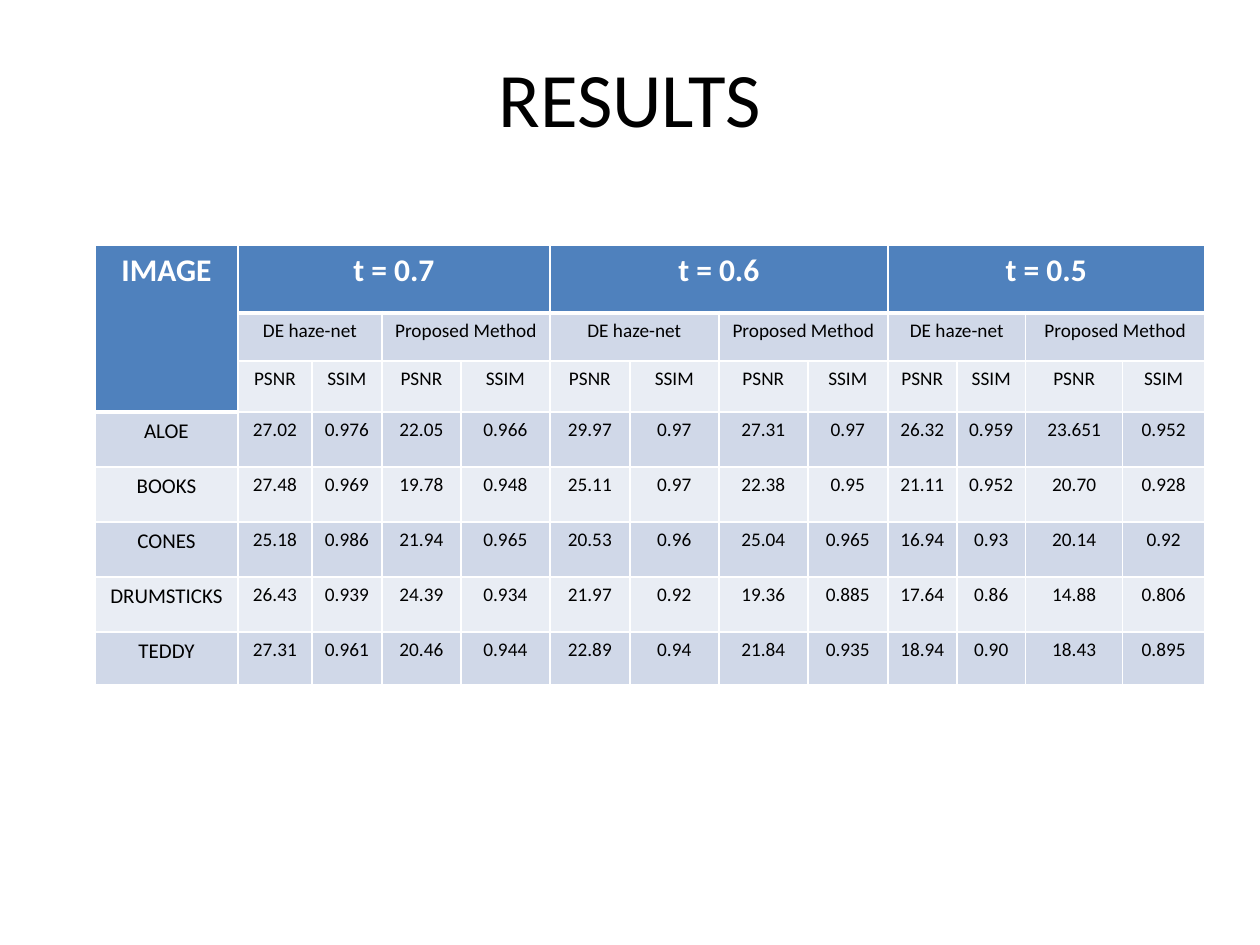
from lxml.etree import SubElement
from pptx import Presentation
from pptx.dml.color import RGBColor
from pptx.enum.text import MSO_ANCHOR, PP_ALIGN
from pptx.oxml.ns import qn
from pptx.util import Pt

EMU_PER_PX = 914400 / 126
FONT = "Calibri"
COLOURS = {"header": "4F81BD", "dark": "D0D8E8", "light": "E9EDF4",
           "white": "FFFFFF", "black": "000000"}
COLUMN_WIDTHS = [143, 74, 70, 79, 89, 80, 89, 89, 80, 69, 69, 97, 82]
ROW_HEIGHTS = [68, 48, 50, 55, 55, 55, 55, 53]
THRESHOLDS = ["t = 0.7", "t = 0.6", "t = 0.5"]
METHODS = ["DE haze-net", "Proposed Method"]
METRICS = ["PSNR", "SSIM"]
HEADER_ROWS = 3
RESULTS = [
    "ALOE 27.02 0.976 22.05 0.966 29.97 0.97 27.31 0.97 26.32 0.959 23.651 0.952",
    "BOOKS 27.48 0.969 19.78 0.948 25.11 0.97 22.38 0.95 21.11 0.952 20.70 0.928",
    "CONES 25.18 0.986 21.94 0.965 20.53 0.96 25.04 0.965 16.94 0.93 20.14 0.92",
    "DRUMSTICKS 26.43 0.939 24.39 0.934 21.97 0.92 19.36 0.885 17.64 0.86 14.88 0.806",
    "TEDDY 27.31 0.961 20.46 0.944 22.89 0.94 21.84 0.935 18.94 0.90 18.43 0.895",
]


def px(length):
    """Turn a pixel length into EMU."""
    return round(length * EMU_PER_PX)


def colour(name):
    """Look up a named colour."""
    return RGBColor.from_string(COLOURS[name])


def write_text(frame, text, size, shade, bold=False):
    """Write one centred paragraph with the given format."""
    frame.text = text
    para = frame.paragraphs[0]
    para.alignment = PP_ALIGN.CENTER
    span = para.runs[0]
    for name, value in {"name": FONT, "size": Pt(size), "bold": bold}.items():
        setattr(span.font, name, value)
    span.font.color.rgb = colour(shade)


def add_title(page, text):
    """Place and format the title placeholder."""
    title = page.shapes.title
    place = {"left": 63, "top": 38, "width": 1134, "height": 117}
    for name, value in place.items():
        setattr(title, name, px(value))
    title.text_frame.vertical_anchor = MSO_ANCHOR.MIDDLE
    write_text(title.text_frame, text, 44, "black")


def add_border(cell, side, points):
    """Draw one white side of a cell."""
    line = SubElement(cell._tc.get_or_add_tcPr(), qn(f"a:ln{side}"), w=str(Pt(points)))
    fill = SubElement(line, qn("a:solidFill"))
    SubElement(fill, qn("a:srgbClr"), val=COLOURS["white"])


def is_header(row, column):
    """Tell whether a cell belongs to the blue heading."""
    return row == 0 or (column == 0 and row < HEADER_ROWS)


def style_cell(cell, row, column):
    """Set the borders, fill and margins of a cell."""
    header = is_header(row, column)
    below_header = row > 0 and not header and is_header(row - 1, column)
    widths = {"L": 1, "R": 1, "T": 3 if below_header else 1, "B": 3 if header else 1}
    for side, points in widths.items():
        add_border(cell, side, points)
    band = "dark" if row % 2 else "light"
    cell.fill.solid()
    cell.fill.fore_color.rgb = colour("header" if header else band)
    cell.margin_left = cell.margin_right = px(8)


def fill_headings(table):
    """Write the heading cells and merge each over the columns it covers."""
    table.cell(0, 0).merge(table.cell(HEADER_ROWS - 1, 0))
    write_text(table.cell(0, 0).text_frame, "IMAGE", 18, "white", True)
    levels = [
        (THRESHOLDS, 4, (18, "white", True)),
        (METHODS * 3, 2, (11, "black")),
        (METRICS * 6, 1, (11, "black")),
    ]
    for row, (labels, width, style) in enumerate(levels):
        for index, label in enumerate(labels):
            first = 1 + index * width
            cell = table.cell(row, first)
            if width > 1:
                cell.merge(table.cell(row, first + width - 1))
            write_text(cell.text_frame, label, *style)


def fill_results(table):
    """Write one row of values for each image."""
    for row, record in enumerate(RESULTS, HEADER_ROWS):
        for column, text in enumerate(record.split()):
            size = 11 if column else 12
            write_text(table.cell(row, column).text_frame, text, size, "black")


def add_results_table(page):
    """Build the table of results."""
    frame = page.shapes.add_table(
        len(ROW_HEIGHTS), len(COLUMN_WIDTHS), px(95), px(245),
        px(sum(COLUMN_WIDTHS)), px(sum(ROW_HEIGHTS)))
    table = frame.table
    for column, width in zip(table.columns, COLUMN_WIDTHS):
        column.width = px(width)
    for row, height in zip(table.rows, ROW_HEIGHTS):
        row.height = px(height)
    for row in range(len(ROW_HEIGHTS)):
        for column in range(len(COLUMN_WIDTHS)):
            style_cell(table.cell(row, column), row, column)
    fill_headings(table)
    fill_results(table)


def main():
    """Build and save the slide."""
    deck = Presentation()
    deck.slide_width, deck.slide_height = px(1260), px(945)
    page = deck.slides.add_slide(deck.slide_layouts[5])
    add_title(page, "RESULTS")
    add_results_table(page)
    deck.save("out.pptx")


if __name__ == "__main__":
    main()
